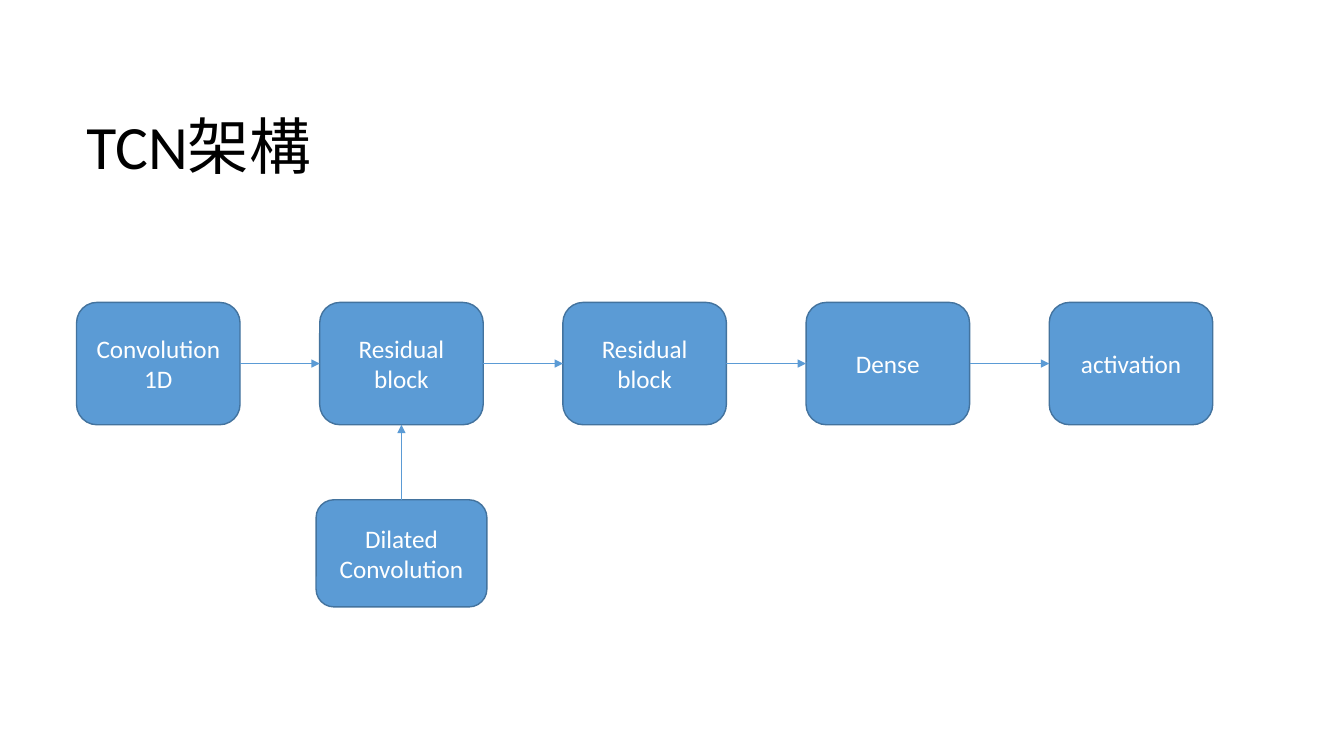
from lxml import etree
from pptx import Presentation
from pptx.dml.color import RGBColor
from pptx.enum import shapes, text
from pptx.oxml import ns
from pptx.util import Pt

BLUE = RGBColor(0x5B, 0x9B, 0xD5)
DARK_BLUE = RGBColor(0x43, 0x73, 0x9E)
WHITE = RGBColor(0xFF, 0xFF, 0xFF)
BLACK = RGBColor(0x00, 0x00, 0x00)
FONT = "Calibri"

# Connection sites of a rounded rectangle
TOP, LEFT, BOTTOM, RIGHT = range(4)


def add_block(label, left, top, width, height):
    block = slide.shapes.add_shape(
        shapes.MSO_SHAPE.ROUNDED_RECTANGLE,
        Pt(left), Pt(top), Pt(width), Pt(height))
    block.shadow.inherit = False
    block.fill.solid()
    block.fill.fore_color.rgb = BLUE
    block.line.color.rgb = DARK_BLUE
    block.line.width = Pt(1)
    frame = block.text_frame
    frame.word_wrap = True
    frame.vertical_anchor = text.MSO_ANCHOR.MIDDLE
    caption = frame.paragraphs[0]
    caption.text = label
    caption.alignment = text.PP_ALIGN.CENTER
    caption.font.name = FONT
    caption.font.size = Pt(18)
    caption.font.color.rgb = WHITE
    return block


def add_arrow(source, source_site, target, target_site):
    arrow = slide.shapes.add_connector(shapes.MSO_CONNECTOR.STRAIGHT, 0, 0, 0, 0)
    arrow.begin_connect(source, source_site)
    arrow.end_connect(target, target_site)
    arrow.line.color.rgb = BLUE
    arrow.line.width = Pt(0.5)
    etree.SubElement(arrow.line._get_or_add_ln(), ns.qn("a:tailEnd"), type="triangle")
    etree.SubElement(arrow._element.spPr, ns.qn("a:effectLst"))


deck = Presentation()
deck.slide_width, deck.slide_height = Pt(960), Pt(540)
slide = deck.slides.add_slide(deck.slide_layouts[6])

# Title
title = slide.shapes.add_textbox(Pt(54.7), Pt(54.7), Pt(828), Pt(104.4))
title.text_frame.word_wrap = True
title.text_frame.vertical_anchor = text.MSO_ANCHOR.MIDDLE
heading = title.text_frame.paragraphs[0]
heading.text = "TCN架構"
heading.line_spacing = 0.9
heading.font.name = FONT
heading.font.size = Pt(44)
heading.font.color.rgb = BLACK

# Row of layers, evenly spaced and joined left to right
LAYERS = ["Convolution1D", "Residual block", "Residual block", "Dense", "activation"]
ROW_LEFT, ROW_TOP, PITCH = 54.7, 216, 173.7
LAYER_WIDTH, LAYER_HEIGHT = 116.8, 87.4
layers = [add_block(label, ROW_LEFT + i * PITCH, ROW_TOP, LAYER_WIDTH, LAYER_HEIGHT)
          for i, label in enumerate(LAYERS)]
for previous, following in zip(layers, layers[1:]):
    add_arrow(previous, RIGHT, following, LEFT)

# Dilated convolution, centred below the first residual block
DILATED_WIDTH = 122
dilated_left = ROW_LEFT + PITCH + (LAYER_WIDTH - DILATED_WIDTH) / 2
dilated = add_block("Dilated Convolution", dilated_left, 357, DILATED_WIDTH, 76.5)
add_arrow(dilated, TOP, layers[1], BOTTOM)

deck.save("out.pptx")
